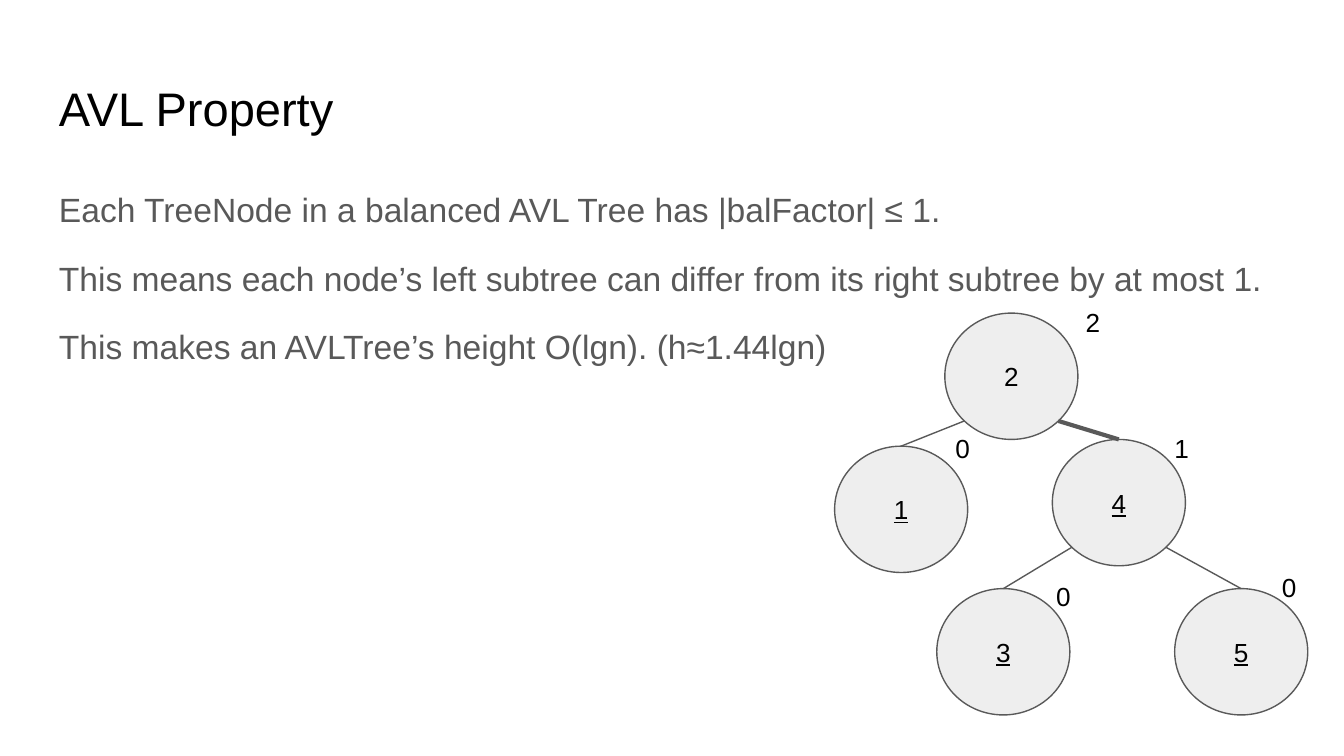
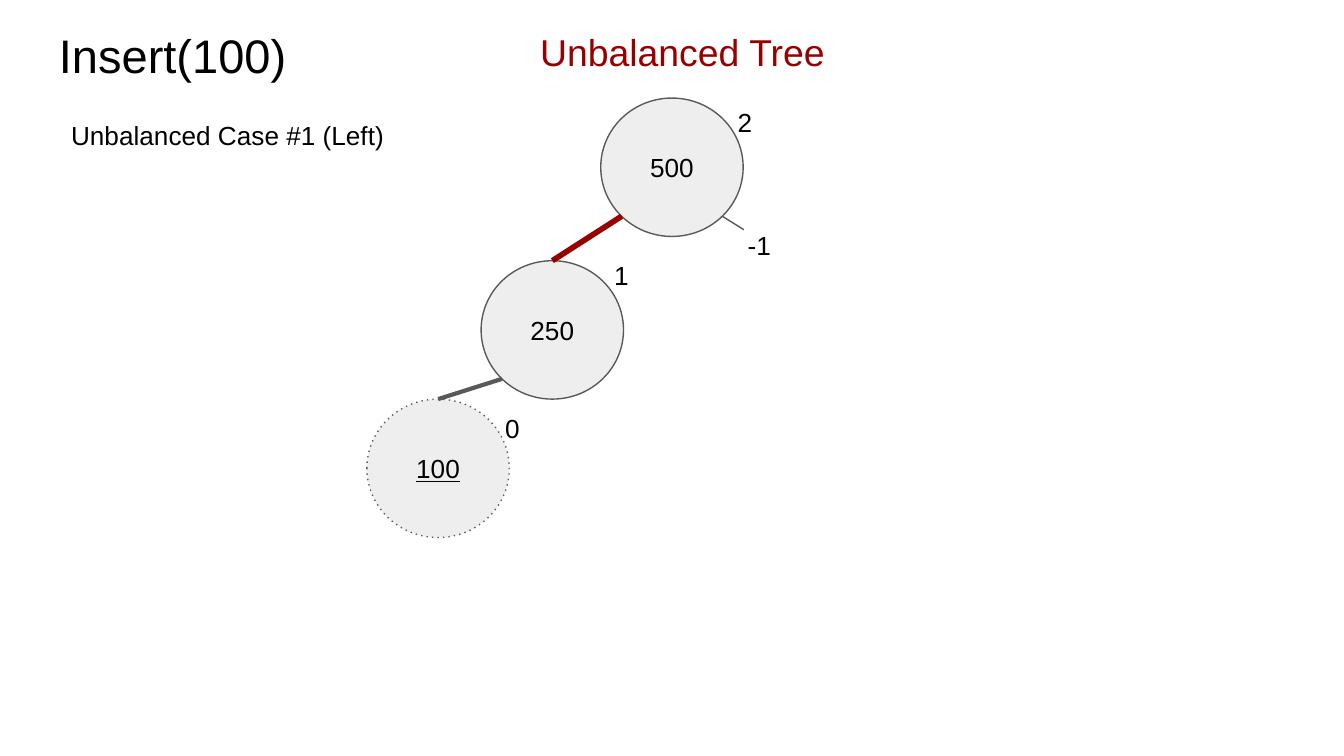
from dataclasses import dataclass
from math import sqrt

from lxml.etree import SubElement
from pptx import Presentation
from pptx.dml.color import RGBColor
from pptx.enum.dml import MSO_LINE
from pptx.enum.shapes import MSO_CONNECTOR, MSO_SHAPE
from pptx.enum.text import MSO_ANCHOR, MSO_AUTO_SIZE, PP_ALIGN
from pptx.oxml.ns import qn
from pptx.util import Inches, Pt

COLORS = {"black": "000000", "gray": "595959", "node": "EEEEEE", "alert": "980000"}
FONT = "Arial"
LABEL_SIZE = 14
LABEL_HEIGHT = 0.44


@dataclass
class Node:
    """A tree node placed relative to its tree, with its height label relative to itself."""
    key: str
    left: float
    top: float
    height: str
    label_offset: tuple
    underline: bool = True
    dotted: bool = False


@dataclass
class Edge:
    """A link from a parent to its left or right child."""
    parent: str
    child: str
    side: int
    width: float = 0.75
    color: str = "gray"


def color_of(name):
    """Return the named palette colour."""
    return RGBColor.from_string(COLORS[name])


def add_span(para, text, size, color, underline=None):
    """Add one formatted run to a paragraph."""
    span = para.add_run()
    span.text = text
    span.font.name = FONT
    span.font.size = Pt(size)
    span.font.color.rgb = color_of(color)
    span.font.underline = underline


def set_frame(frame):
    """Give a text frame wrapping and even margins."""
    frame.word_wrap = True
    frame.margin_left = frame.margin_right = Inches(0.1)
    frame.margin_top = frame.margin_bottom = Inches(0.1)


def add_text(page, box, lines, size, color="black", grow=True, line_spacing=None, gap=0):
    """Add a text box with one paragraph per line."""
    frame = page.shapes.add_textbox(*map(Inches, box)).text_frame
    set_frame(frame)
    frame.auto_size = MSO_AUTO_SIZE.SHAPE_TO_FIT_TEXT if grow else MSO_AUTO_SIZE.NONE
    for index, line in enumerate(lines):
        para = frame.add_paragraph() if index else frame.paragraphs[0]
        para.line_spacing = line_spacing
        para.space_before = Pt(gap if index else 0)
        add_span(para, line, size, color)


def add_title(page, text, top):
    """Add the slide title at the given height."""
    add_text(page, (0.34, top, 9.32, 0.63), [text], 25.2, grow=False)


def add_line(page, start, end, width=0.75, color="gray"):
    """Draw a straight line without a shadow."""
    line = page.shapes.add_connector(MSO_CONNECTOR.STRAIGHT, *map(Inches, (*start, *end)))
    line.line.width = Pt(width)
    line.line.color.rgb = color_of(color)
    SubElement(line.element.spPr, qn("a:effectLst"))


def add_node(page, node, box):
    """Draw a tree node as a labelled ellipse."""
    ellipse = page.shapes.add_shape(MSO_SHAPE.OVAL, *map(Inches, box))
    ellipse.shadow.inherit = False
    ellipse.fill.solid()
    ellipse.fill.fore_color.rgb = color_of("node")
    ellipse.line.color.rgb = color_of("gray")
    ellipse.line.width = Pt(0.75)
    if node.dotted:
        ellipse.line.dash_style = MSO_LINE.ROUND_DOT
        ellipse.element.find(".//" + qn("a:prstDash")).set("val", "dot")
    frame = ellipse.text_frame
    set_frame(frame)
    frame.vertical_anchor = MSO_ANCHOR.MIDDLE
    para = frame.paragraphs[0]
    para.alignment = PP_ALIGN.CENTER
    add_span(para, node.key, LABEL_SIZE, "black", node.underline)


def lower_corner(box, side):
    """Return the diagonal point at the lower left (-1) or lower right (1) of an ellipse."""
    left, top, width, height = box
    reach = 1 / sqrt(2)
    return left + width / 2 * (1 + side * reach), top + height / 2 * (1 + reach)


def add_tree(page, origin, node_size, label_width, nodes, edges):
    """Draw nodes, edges and height labels, and return the node boxes by key."""
    boxes = {node.key: (origin[0] + node.left, origin[1] + node.top, *node_size)
             for node in nodes}
    for node in nodes:
        add_node(page, node, boxes[node.key])
    for edge in edges:
        left, top, width, _ = boxes[edge.child]
        add_line(page, lower_corner(boxes[edge.parent], edge.side),
                 (left + width / 2, top), edge.width, edge.color)
    for node in nodes:
        left, top = boxes[node.key][:2]
        across, down = node.label_offset
        add_text(page, (left + across, top + down, label_width, LABEL_HEIGHT),
                 [node.height], LABEL_SIZE)
    return boxes


def build_property_slide(page):
    """Explain the AVL property beside a small balanced tree."""
    add_title(page, "AVL Property", 0.49)
    add_text(page, (0.34, 1.26, 9.32, 3.74), [
        "Each TreeNode in a balanced AVL Tree has |balFactor| ≤ 1.",
        "This means each node’s left subtree can differ from its right subtree by at most 1.",
        "This makes an AVLTree’s height O(lgn). (h≈1.44lgn)",
    ], 18, "gray", grow=False, line_spacing=1.15, gap=12)
    nodes = [
        Node("2", 0.82, 0, "2", (0.95, -0.15), underline=False),
        Node("1", 0, 0.99, "0", (0.8, -0.2)),
        Node("4", 1.62, 0.94, "1", (0.81, -0.15)),
        Node("3", 0.76, 2.05, "0", (0.79, -0.16)),
        Node("5", 2.53, 2.05, "0", (0.7, -0.23)),
    ]
    edges = [Edge("2", "4", 1, 2.25), Edge("4", "5", 1), Edge("4", "3", -1), Edge("2", "1", -1)]
    add_tree(page, (6.21, 2.33), (0.99, 0.94), 0.56, nodes, edges)


def build_insert_slide(page):
    """Show the tree left unbalanced by an insertion."""
    add_title(page, "Insert(100)", 0.1)
    nodes = [
        Node("500", 1.74, 0, "2", (0.92, -0.04), underline=False),
        Node("250", 0.85, 1.21, "1", (0.89, -0.11), underline=False),
        Node("100", 0, 2.24, "0", (0.93, 0), dotted=True),
    ]
    edges = [Edge("500", "250", -1, 3, "alert"), Edge("250", "100", -1, 2.25)]
    boxes = add_tree(page, (2.73, 0.73), (1.06, 1.03), 0.32, nodes, edges)
    left, top = lower_corner(boxes["500"], 1)
    add_line(page, (left, top), (left + 0.16, top + 0.1))
    add_text(page, (left + 0.09, top, 0.56, LABEL_HEIGHT), ["-1"], LABEL_SIZE)
    add_text(page, (3.92, 0.12, 5.32, 0.54), ["Unbalanced Tree"], 20, "alert")
    add_text(page, (0.43, 0.79, 6.32, LABEL_HEIGHT), ["Unbalanced Case #1 (Left)"], LABEL_SIZE)


def main():
    """Build and save the deck."""
    deck = Presentation()
    deck.slide_width = Inches(10)
    deck.slide_height = Inches(10 * 9 / 16)
    for build in (build_property_slide, build_insert_slide):
        build(deck.slides.add_slide(deck.slide_layouts[6]))
    deck.save("out.pptx")


main()
